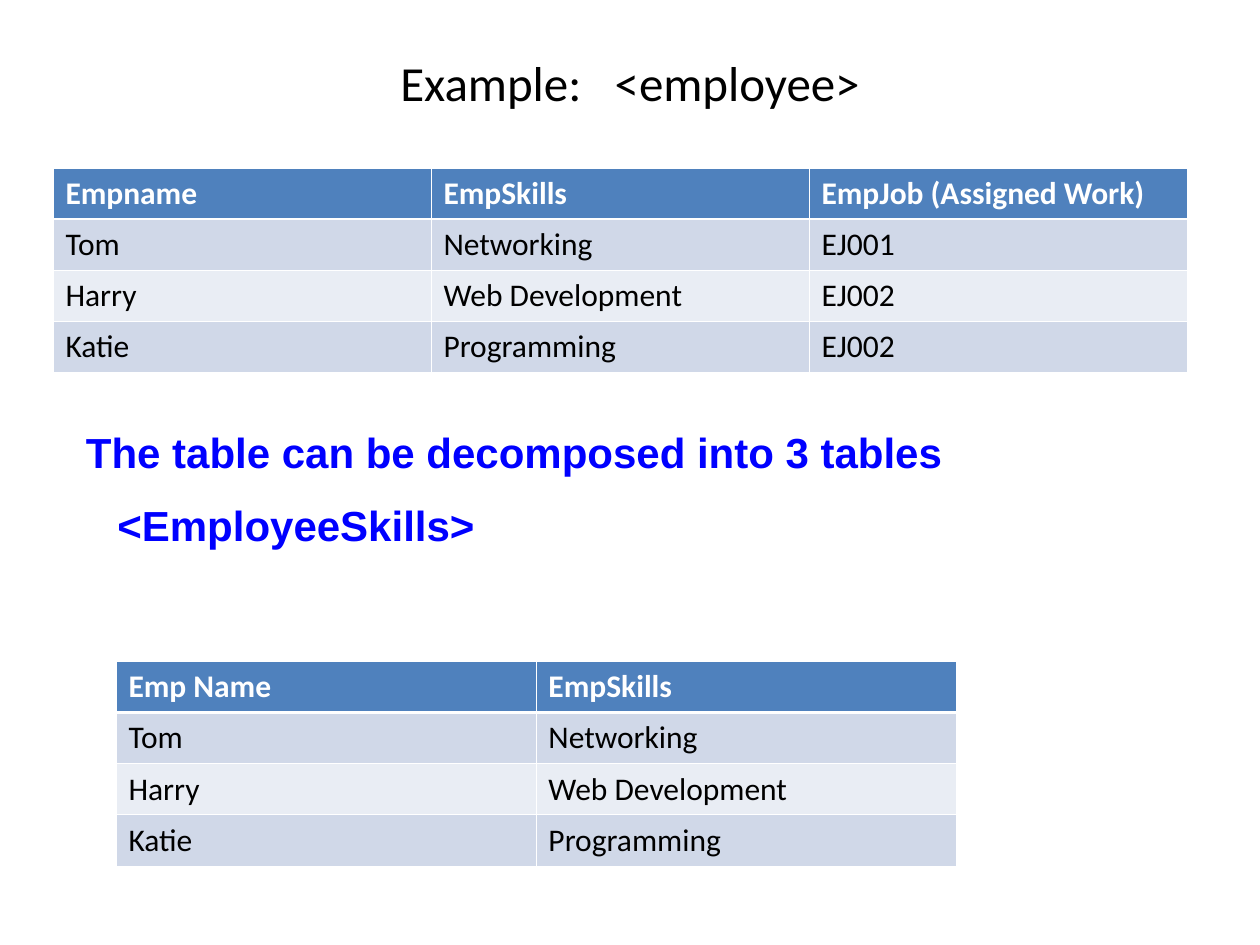
"""Build a slide that decomposes an employee table into a skills table."""
from dataclasses import dataclass

from lxml import etree
from pptx import Presentation
from pptx.dml.color import RGBColor
from pptx.enum import text
from pptx.oxml import ns
from pptx.util import Pt


@dataclass(frozen=True)
class Theme:
    black: str = "000000"
    white: str = "FFFFFF"
    note: str = "0000FF"
    header: str = "4F81BD"
    bands: tuple = ("E9EDF4", "D0D8E8")
    body_font: str = "Calibri"
    note_font: str = "Arial"
    title_size: float = 28
    note_size: float = 24
    cell_size: float = 18
    thin: float = 0.45
    thick: float = 1.47


theme = Theme()


def add_span(para, words, name, size, color, bold=False):
    span = para.add_run()
    span.text = words
    for key, value in {"name": name, "size": Pt(size), "bold": bold}.items():
        setattr(span.font, key, value)
    span.font.color.rgb = RGBColor.from_string(color)
    return span


def add_border(cell, side, width):
    line = etree.SubElement(cell._tc.get_or_add_tcPr(), ns.qn(f"a:ln{side}"), w=str(Pt(width)))
    fill = etree.SubElement(line, ns.qn("a:solidFill"))
    etree.SubElement(fill, ns.qn("a:srgbClr"), val=theme.white)


deck = Presentation()
deck.slide_width, deck.slide_height = Pt(720), Pt(540)
page = deck.slides.add_slide(deck.slide_layouts[5])

title = page.shapes.title
for key, value in {"left": 36, "top": 21.6, "width": 648, "height": 50.4}.items():
    setattr(title, key, Pt(value))
title.text_frame.vertical_anchor = text.MSO_ANCHOR.MIDDLE
heading = title.text_frame.paragraphs[0]
heading.alignment = text.PP_ALIGN.CENTER
title_style = (theme.body_font, theme.title_size, theme.black)
add_span(heading, "Example:", *title_style)
gap = add_span(heading, " ", *title_style)
gap._r.get_or_add_rPr().set("spc", "1270")
add_span(heading, "<employee>", *title_style)

skills = [("Tom", "Networking"), ("Harry", "Web Development"), ("Katie", "Programming")]
jobs = ["EJ001", "EJ002", "EJ002"]
employee_rows = [("Empname", "EmpSkills", "EmpJob (Assigned Work)")]
employee_rows += [(*skill, job) for skill, job in zip(skills, jobs)]
skill_rows = [("Emp Name", "EmpSkills"), *skills]

row_height = 29.16
tables = [(employee_rows, 30.24, 96, 216), (skill_rows, 66.24, 378, 240)]
for rows, left, top, column_width in tables:
    columns = len(rows[0])
    frame = page.shapes.add_table(
        len(rows), columns, Pt(left), Pt(top),
        Pt(column_width * columns), Pt(row_height * len(rows)))
    grid = frame.table
    for column in grid.columns:
        column.width = Pt(column_width)
    for r, row in enumerate(rows):
        grid.rows[r].height = Pt(row_height)
        is_header = r == 0
        for c, words in enumerate(row):
            cell = grid.cell(r, c)
            widths = {"L": theme.thin, "R": theme.thin,
                      "T": theme.thick if r == 1 else theme.thin,
                      "B": theme.thick if is_header else theme.thin}
            for side, width in widths.items():
                add_border(cell, side, width)
            cell.fill.solid()
            cell.fill.fore_color.rgb = RGBColor.from_string(
                theme.header if is_header else theme.bands[r % 2])
            add_span(cell.text_frame.paragraphs[0], words, theme.body_font, theme.cell_size,
                     theme.white if is_header else theme.black, is_header)

notes = [("The table can be decomposed into 3 tables", 42, 240, 630),
         ("<EmployeeSkills>", 60, 282, 234)]
for words, left, top, width in notes:
    box = page.shapes.add_textbox(Pt(left), Pt(top), Pt(width), Pt(36))
    for key, value in {"word_wrap": True,
                       "auto_size": text.MSO_AUTO_SIZE.SHAPE_TO_FIT_TEXT}.items():
        setattr(box.text_frame, key, value)
    add_span(box.text_frame.paragraphs[0], words, theme.note_font, theme.note_size,
             theme.note, True)

deck.save("out.pptx")
